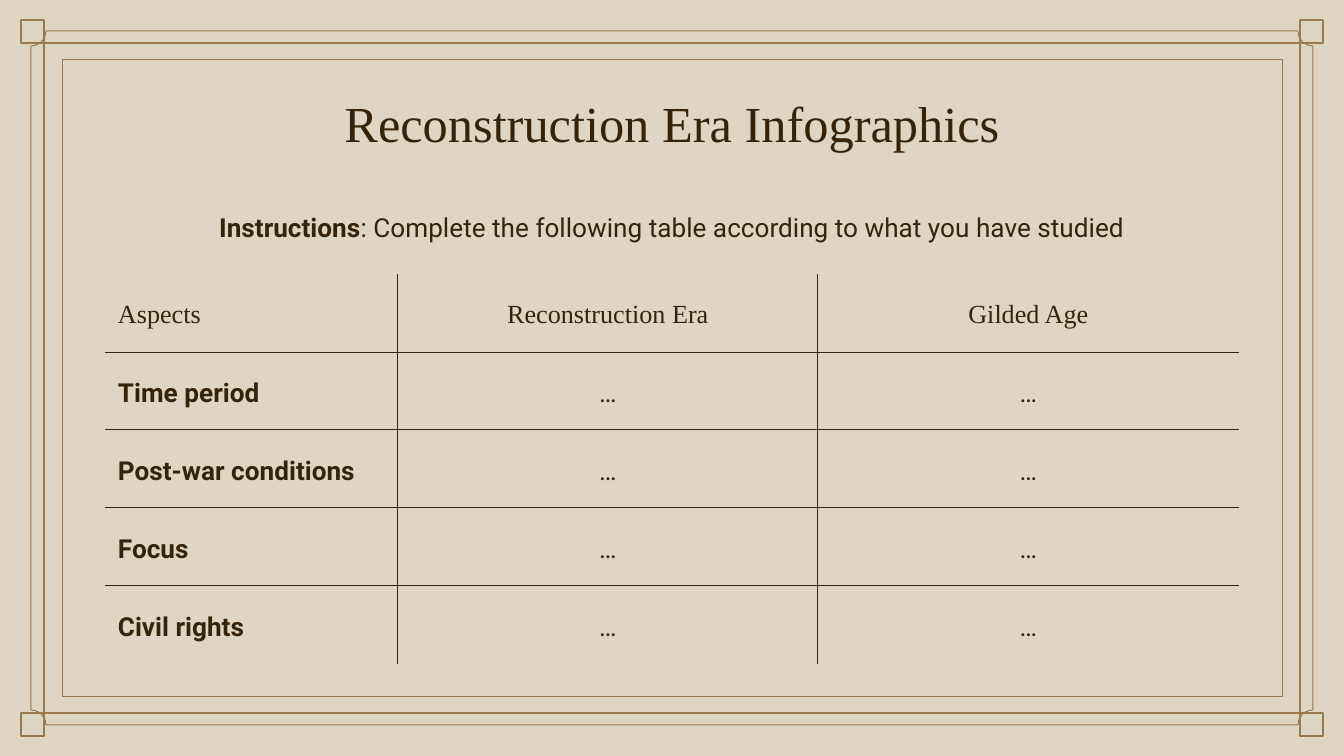
from dataclasses import dataclass

from lxml import etree
from pptx import Presentation
from pptx.dml.color import RGBColor
from pptx.enum.shapes import MSO_SHAPE
from pptx.enum.text import MSO_ANCHOR, MSO_AUTO_SIZE, PP_ALIGN
from pptx.oxml.ns import qn
from pptx.util import Emu, Pt

RECTANGLE, PLAQUE = MSO_SHAPE.RECTANGLE, MSO_SHAPE.PLAQUE
LEFT, CENTER = PP_ALIGN.LEFT, PP_ALIGN.CENTER
TOP, MIDDLE, BOTTOM = MSO_ANCHOR.TOP, MSO_ANCHOR.MIDDLE, MSO_ANCHOR.BOTTOM

EMU_PER_PX = 914400 / 134.4
SLIDE_W, SLIDE_H = 1344, 756
COLORS = {"paper": "DED6C2", "frame": "9B794E", "ink": "35240A"}
SERIF, SANS = "Times New Roman", "Roboto"
INSET = 13
THICK, THIN, GRID = 1.28, 0.5, 0.6

CONTENT_LEFT, CONTENT_W = 105, 1134
TABLE_TOP, ROW_H = 274, 78
COLUMN_WIDTHS = (293, 420, 421)
HEADERS = ("Aspects", "Reconstruction Era", "Gilded Age")
ASPECTS = ("Time period", "Post-war conditions", "Focus", "Civil rights")


@dataclass(frozen=True)
class Box:
    left: int
    top: int
    width: int
    height: int


@dataclass(frozen=True)
class TextRun:
    text: str
    font: str
    size: int = 14
    bold: bool = False


CORNER = 23
CORNER_LEFT, CORNER_TOP = 21, 20
NOTCH = 15


def px(length: int) -> Emu:
    return Emu(round(length * EMU_PER_PX))


def color(name: str) -> RGBColor:
    return RGBColor.from_string(COLORS[name])


def centered_box(margin_x: int, margin_y: int) -> Box:
    return Box(margin_x, margin_y, SLIDE_W - 2 * margin_x, SLIDE_H - 2 * margin_y)


def place(shape, box: Box) -> None:
    shape.left, shape.top = px(box.left), px(box.top)
    shape.width, shape.height = px(box.width), px(box.height)


def draw_outline(slide, preset: MSO_SHAPE, box: Box, weight: float):
    outline = slide.shapes.add_shape(
        preset, px(box.left), px(box.top), px(box.width), px(box.height))
    outline.shadow.inherit = False
    outline.fill.background()
    outline.line.color.rgb = color("frame")
    outline.line.width = Pt(weight)
    return outline


def draw_frame(slide) -> None:
    draw_outline(slide, RECTANGLE,
                 centered_box(CORNER_LEFT + CORNER, CORNER_TOP + CORNER), THICK)
    draw_outline(slide, RECTANGLE, centered_box(62, 59), THIN)
    notched_box = centered_box(31, 31)
    notched = draw_outline(slide, PLAQUE, notched_box, THIN)
    notched.adjustments[0] = NOTCH / notched_box.height
    for left in (CORNER_LEFT, SLIDE_W - CORNER_LEFT - CORNER):
        for top in (CORNER_TOP, SLIDE_H - CORNER_TOP - CORNER):
            draw_outline(slide, RECTANGLE, Box(left, top, CORNER, CORNER), THICK)


def write_runs(text_frame, runs: list[TextRun], align: PP_ALIGN,
               line_spacing: float = 1.15) -> None:
    paragraph = text_frame.paragraphs[0]
    paragraph.alignment = align
    paragraph.line_spacing = line_spacing
    paragraph.space_before = Pt(0)
    for part in runs:
        run = paragraph.add_run()
        run.text = part.text
        run.font.name = part.font
        run.font.size = Pt(part.size)
        run.font.bold = part.bold
        run.font.color.rgb = color("ink")


def set_insets(holder) -> None:
    """Apply the common inset to a text frame or a table cell."""
    holder.margin_left = holder.margin_right = px(INSET)
    holder.margin_top = holder.margin_bottom = px(INSET)


def format_frame(text_frame, anchor: MSO_ANCHOR) -> None:
    text_frame.word_wrap = True
    text_frame.auto_size = MSO_AUTO_SIZE.NONE
    text_frame.vertical_anchor = anchor
    set_insets(text_frame)


def set_borders(cell, visible_sides: dict[str, bool]) -> None:
    properties = cell._tc.get_or_add_tcPr()
    for side, visible in visible_sides.items():
        line = etree.SubElement(properties, qn(f"a:ln{side}"), w=str(Pt(GRID)))
        if visible:
            fill = etree.SubElement(line, qn("a:solidFill"))
            etree.SubElement(fill, qn("a:srgbClr"), val=COLORS["ink"])
        else:
            etree.SubElement(line, qn("a:noFill"))


def draw_table(slide) -> None:
    rows = [[TextRun(header, SERIF) for header in HEADERS]]
    for aspect in ASPECTS:
        rows.append([TextRun(aspect, SANS, bold=True),
                     TextRun("…", SANS), TextRun("…", SANS)])
    last_row, last_column = len(rows) - 1, len(HEADERS) - 1
    table = slide.shapes.add_table(
        len(rows), len(HEADERS), px(CONTENT_LEFT), px(TABLE_TOP),
        px(CONTENT_W), px(ROW_H * len(rows))).table
    table.first_row = table.horz_banding = False
    for column, width in zip(table.columns, COLUMN_WIDTHS):
        column.width = px(width)
    for r, row in enumerate(rows):
        table.rows[r].height = px(ROW_H)
        for c, content in enumerate(row):
            cell = table.cell(r, c)
            set_borders(cell, {"L": c > 0, "R": c < last_column,
                               "T": r > 0, "B": r < last_row})
            cell.fill.background()
            cell.vertical_anchor = MIDDLE
            set_insets(cell)
            write_runs(cell.text_frame, [content], CENTER if c else LEFT)


def main() -> None:
    presentation = Presentation()
    presentation.slide_width, presentation.slide_height = px(SLIDE_W), px(SLIDE_H)
    slide = presentation.slides.add_slide(presentation.slide_layouts[5])
    slide.background.fill.solid()
    slide.background.fill.fore_color.rgb = color("paper")

    draw_frame(slide)

    title = slide.shapes.title
    place(title, Box(CONTENT_LEFT, 79, CONTENT_W, 87))
    format_frame(title.text_frame, BOTTOM)
    write_runs(title.text_frame,
               [TextRun("Reconstruction Era Infographics", SERIF, 27)], CENTER, 1.0)

    instructions = slide.shapes.add_textbox(0, 0, 0, 0)
    place(instructions, Box(CONTENT_LEFT, 194, CONTENT_W, 54))
    format_frame(instructions.text_frame, TOP)
    write_runs(instructions.text_frame, [
        TextRun("Instructions", SANS, bold=True),
        TextRun(": Complete the following table according to what you have studied",
                SANS),
    ], CENTER)

    draw_table(slide)
    presentation.save("out.pptx")


if __name__ == "__main__":
    main()
